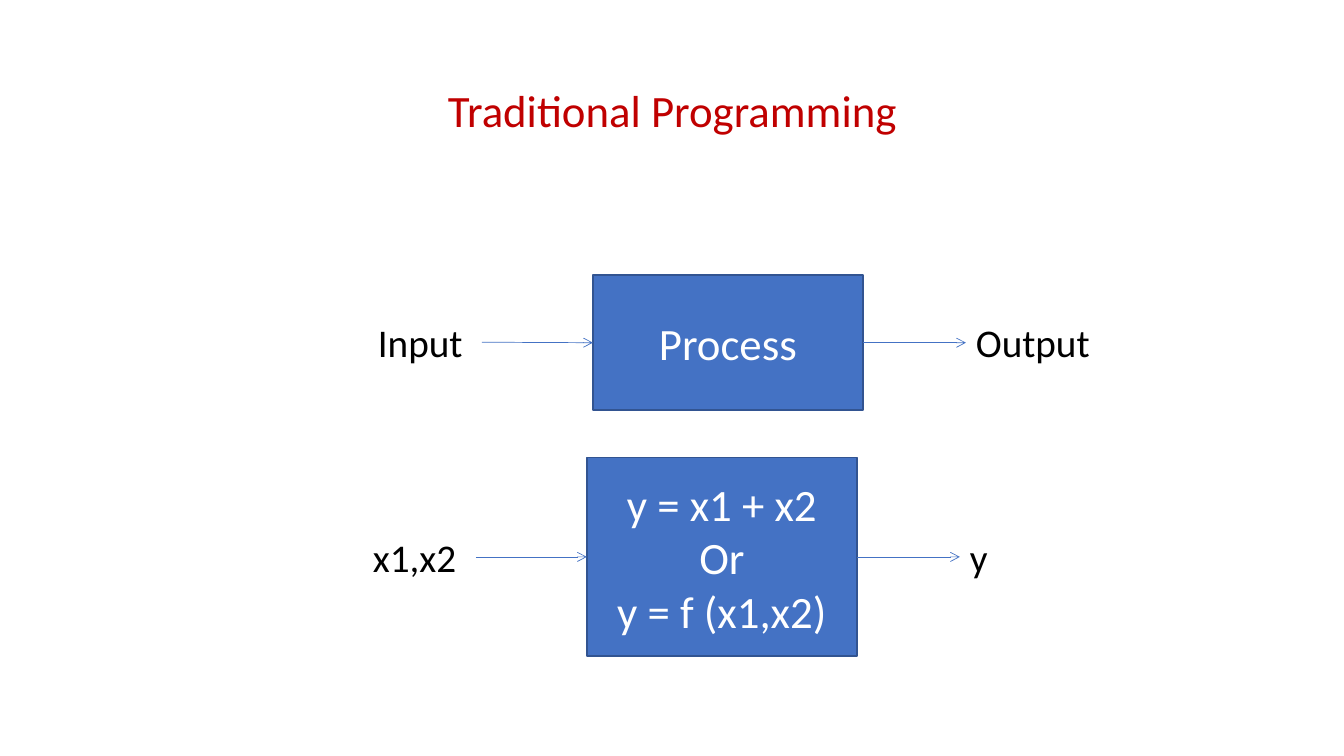
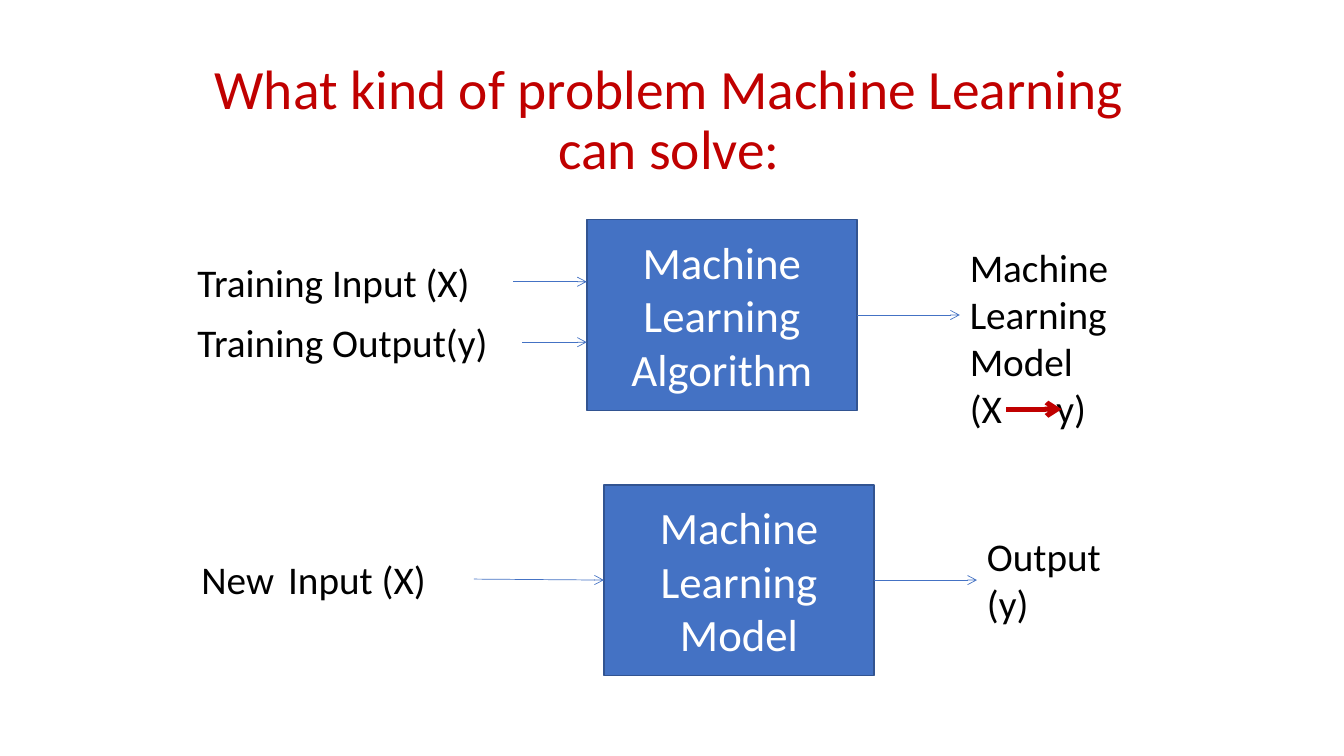
"""Build two slides comparing traditional programming with machine learning."""
from lxml.etree import SubElement
from pptx import Presentation
from pptx.dml.color import RGBColor
from pptx.enum.shapes import MSO_CONNECTOR, MSO_SHAPE
from pptx.enum.text import MSO_ANCHOR, PP_ALIGN
from pptx.oxml.ns import qn
from pptx.util import Inches, Pt

RED = RGBColor(0xC0, 0x00, 0x00)
BLUE = RGBColor(0x44, 0x72, 0xC4)
DARK_BLUE = RGBColor(0x32, 0x54, 0x91)
WHITE = RGBColor(0xFF, 0xFF, 0xFF)
BLACK = RGBColor(0x00, 0x00, 0x00)
FONT = "Calibri"
BOX_WIDTH = 2.68
OUTPUT_ARROW = 1.02
OUTPUT_WIDTH = 1.81
LABEL_HEIGHT = 0.57
LABEL_TAB = 0.86


def write_text(shape, text, size, color, align=PP_ALIGN.CENTER, anchor=MSO_ANCHOR.MIDDLE):
    frame = shape.text_frame
    frame.word_wrap = True
    frame.vertical_anchor = anchor
    frame.text = text
    for para in frame.paragraphs:
        para.alignment = align
        if "\t" in para.text:
            tabs = SubElement(para._p.get_or_add_pPr(), qn("a:tabLst"))
            SubElement(tabs, qn("a:tab"), pos=str(Inches(LABEL_TAB)), algn="l")
        for span in para.runs:
            span.font.name = FONT
            span.font.size = Pt(size)
            span.font.color.rgb = color


def add_arrow(page, start, end, y, color=BLUE, weight=0.5):
    arrow = page.shapes.add_connector(
        MSO_CONNECTOR.STRAIGHT, Inches(start), Inches(y), Inches(end), Inches(y))
    arrow.line.color.rgb = color
    arrow.line.width = Pt(weight)
    SubElement(arrow.line._get_or_add_ln(), qn("a:tailEnd"), type="arrow")
    SubElement(arrow._element.spPr, qn("a:effectLst"))
    return arrow


SLIDES = [
    {
        "title": ("Traditional Programming", 32, (0.92, 0.4, 11.5, 1.45)),
        "stages": [
            {
                "box": ("Process", 5.88, 2.73, 1.34),
                "inputs": [("Input", 3.65, 3.11, 1.1, 4.78)],
                "output": ("Output", 3.11, LABEL_HEIGHT),
            },
            {
                "box": ("y = x1 + x2\nOr\ny = f (x1,x2)", 5.82, 4.54, 1.97),
                "inputs": [("x1,x2", 3.6, 5.24, 1.42, 4.72)],
                "output": ("y", 5.24, LABEL_HEIGHT),
            },
        ],
    },
    {
        "title": ("What kind of problem Machine Learning can solve:", 39.6,
                  (1.86, 0.58, 9.55, 1.25)),
        "stages": [
            {
                "box": ("Machine Learning Algorithm", 5.82, 2.18, 1.89),
                "inputs": [("Training Input (X)", 1.86, 2.51, 3.23, 5.09),
                           ("Training Output(y)", 1.86, 3.11, 3.61, 5.18)],
                "output": ("Machine Learning Model\n(X\ty)", 2.36, 1.99),
            },
            {
                "box": ("Machine Learning Model", 5.99, 4.81, 1.89),
                "inputs": [("New\tInput (X)", 1.9, 5.46, 3.23, 4.7)],
                "output": ("Output\n(y)", 5.23, 1.04),
            },
        ],
    },
]

deck = Presentation()
deck.slide_width = Inches(13.33)
deck.slide_height = Inches(7.5)

for slide in SLIDES:
    page = deck.slides.add_slide(deck.slide_layouts[6])
    title, size, area = slide["title"]
    heading = page.shapes.add_textbox(*map(Inches, area))
    write_text(heading, title, size, RED)
    heading.text_frame.paragraphs[0].line_spacing = 0.9

    for stage in slide["stages"]:
        text, left, top, height = stage["box"]
        box = page.shapes.add_shape(
            MSO_SHAPE.RECTANGLE, Inches(left), Inches(top), Inches(BOX_WIDTH), Inches(height))
        box.shadow.inherit = False
        box.fill.solid()
        box.fill.fore_color.rgb = BLUE
        box.line.color.rgb = DARK_BLUE
        box.line.width = Pt(1)
        write_text(box, text, 32, WHITE)

        right = left + BOX_WIDTH
        output_left = right + OUTPUT_ARROW
        output, output_top, output_height = stage["output"]
        labels = [(output, output_left, output_top, OUTPUT_WIDTH, output_height)]
        for name, label_left, label_top, width, arrow_start in stage["inputs"]:
            labels.append((name, label_left, label_top, width, LABEL_HEIGHT))
            arrow = add_arrow(page, arrow_start, left, label_top + LABEL_HEIGHT / 2)
            if len(stage["inputs"]) == 1:
                arrow.end_connect(box, 1)
        arrow = add_arrow(page, right, output_left, top + height / 2)
        arrow.begin_connect(box, 3)

        for name, *area in labels:
            label = page.shapes.add_textbox(*map(Inches, area))
            write_text(label, name, 28, BLACK, PP_ALIGN.LEFT, MSO_ANCHOR.TOP)

add_arrow(page, 9.98, 10.53, 4.06, RED, 3.5)

deck.save("out.pptx")
